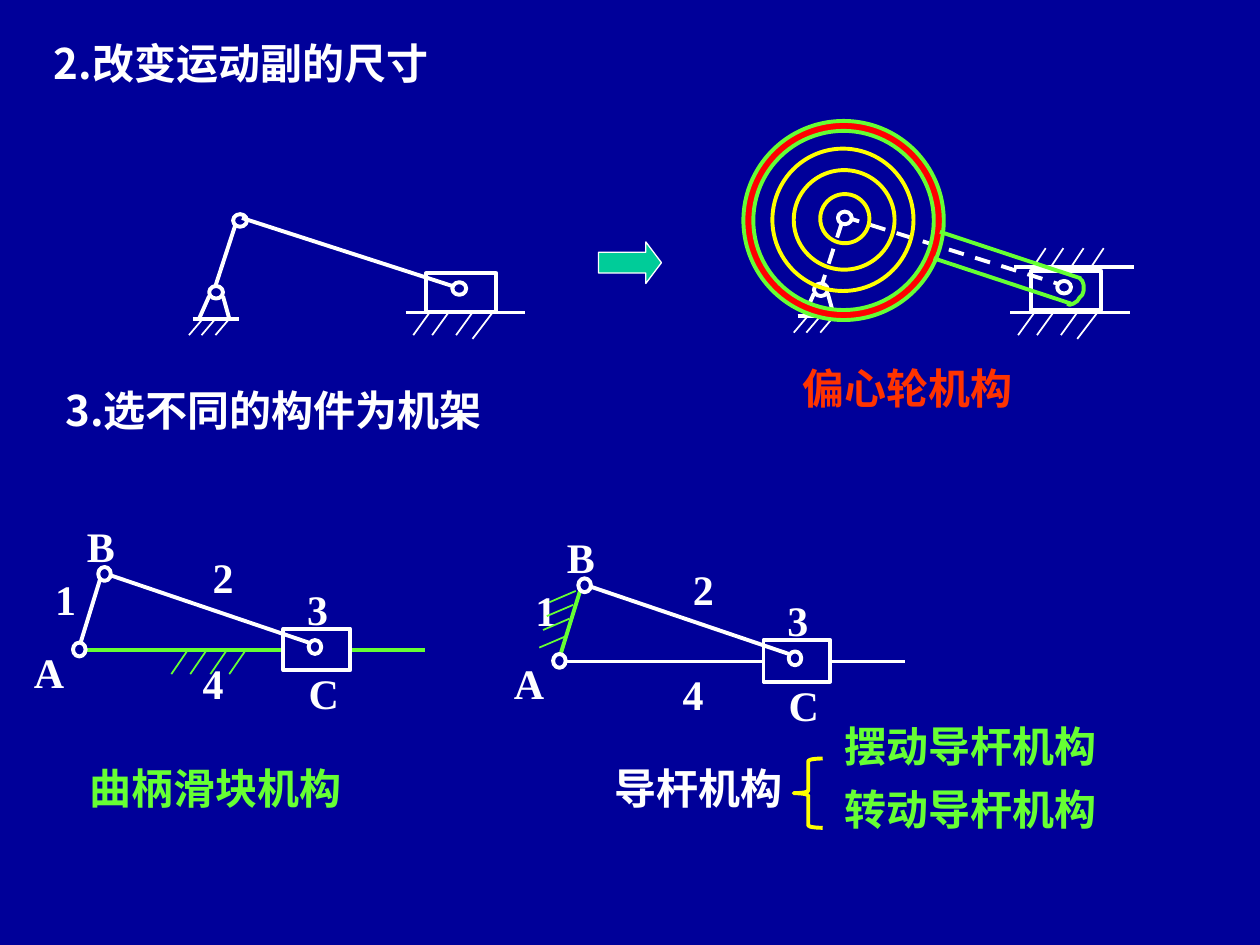
from pptx import Presentation
from pptx.dml.color import RGBColor
from pptx.enum.dml import MSO_LINE
from pptx.enum.shapes import MSO_CONNECTOR, MSO_SHAPE
from pptx.enum.text import PP_ALIGN
from pptx.oxml.ns import qn
from pptx.util import Inches, Pt
from lxml import etree

NAVY = RGBColor(0x00, 0x00, 0x99)
WHITE = RGBColor(0xFF, 0xFF, 0xFF)
GREEN = RGBColor(0x66, 0xFF, 0x33)
YELLOW = RGBColor(0xFF, 0xFF, 0x00)
RED = RGBColor(0xFF, 0x00, 0x00)
ORANGE = RGBColor(0xFF, 0x33, 0x00)
TEAL = RGBColor(0x00, 0xCC, 0x99)

SERIF = "Times New Roman"
SANS = "Noto Sans CJK SC"
THICK, THIN = 2.25, 1


def add_text(s, text, x, y, w, color=WHITE, font=SERIF, align=PP_ALIGN.CENTER):
    tf = s.shapes.add_textbox(Inches(x), Inches(y), Inches(w), Inches(0.5)).text_frame
    tf.word_wrap = True
    p = tf.paragraphs[0]
    p.alignment = align
    r = p.add_run()
    r.text = text
    r.font.name, r.font.size, r.font.bold = font, Pt(24), True
    r.font.color.rgb = color
    etree.SubElement(r.font._element, qn("a:ea")).set("typeface", SANS)


def style(shape, fill, line, width):
    shape.shadow.inherit = False
    if fill is None:
        shape.fill.background()
    else:
        shape.fill.solid()
        shape.fill.fore_color.rgb = fill
    shape.line.color.rgb = line
    shape.line.width = Pt(width)


def add_shape(s, kind, x, y, w, h, fill=NAVY, line=WHITE, width=THICK, adj=()):
    sp = s.shapes.add_shape(kind, Inches(x), Inches(y), Inches(w), Inches(h))
    style(sp, fill, line, width)
    for i, value in enumerate(adj):
        sp.adjustments[i] = value


def add_line(s, x1, y1, x2, y2, color=WHITE, width=THICK, dash=False):
    c = s.shapes.add_connector(MSO_CONNECTOR.STRAIGHT, Inches(x1), Inches(y1),
                               Inches(x2), Inches(y2))
    c.line.color.rgb = color
    c.line.width = Pt(width)
    if dash:
        c.line.dash_style = MSO_LINE.DASH
    etree.SubElement(c._element.spPr, qn("a:effectLst"))


def add_hatch(s, starts, y, dx, dy, color=WHITE):
    for x in starts:
        add_line(s, x, y, x + dx, y + dy, color, THIN)


def add_pin(s, x, y, w=0.11, h=0.1):
    add_shape(s, MSO_SHAPE.OVAL, x, y, w, h)


def add_support(s, x, y):
    """Fixed pivot on hatched ground; x, y is the corner of the pin."""
    ground = y + 0.26
    add_line(s, x - 0.13, ground, x + 0.24, ground)
    add_line(s, x, y + 0.08, x - 0.08, ground)
    add_line(s, x + 0.11, y + 0.08, x + 0.16, ground)
    add_hatch(s, [x - 0.05, x + 0.05, x + 0.16], ground, -0.11, 0.13)
    add_pin(s, x, y)


def add_track(s, x, y):
    """Guide rail with hatching below it."""
    add_line(s, x, y, x + 0.95, y)
    add_hatch(s, [x + 0.19, x + 0.34, x + 0.53], y, -0.13, 0.18)
    add_hatch(s, [x + 0.69], y, -0.16, 0.21)


def add_simple_linkage(s):
    add_shape(s, MSO_SHAPE.RECTANGLE, 3.38, 2.17, 0.56, 0.31)
    add_line(s, 1.71, 2.27, 1.87, 1.78)
    add_support(s, 1.66, 2.27)
    add_pin(s, 1.85, 1.7)
    add_pin(s, 3.59, 2.24)
    add_line(s, 1.92, 1.73, 3.59, 2.27)
    add_track(s, 3.22, 2.48)


def add_eccentric(s):
    # Slider between two rails
    add_shape(s, MSO_SHAPE.RECTANGLE, 8.18, 2.15, 0.56, 0.31)
    add_line(s, 8.05, 2.12, 9, 2.12)
    add_hatch(s, [8.2, 8.34, 8.5, 8.66], 2.12, 0.1, -0.15)
    add_track(s, 8.02, 2.48)
    # Equivalent crank and rod
    add_line(s, 6.51, 2.3, 6.7, 1.71, dash=True)
    add_line(s, 6.7, 1.72, 8.39, 2.25, dash=True)
    add_pin(s, 8.39, 2.23)
    add_support(s, 6.46, 2.25)
    add_pin(s, 6.65, 1.68)
    # Strap ring and rod outline
    add_shape(s, MSO_SHAPE.DONUT, 5.9, 0.96, 1.59, 1.58, RED, GREEN, adj=[0.05])
    rod_end = [(8.47, 2.41), (8.49, 2.42), (8.52, 2.41), (8.55, 2.39), (8.57, 2.36),
               (8.59, 2.34), (8.6, 2.31), (8.6, 2.26), (8.59, 2.23), (8.57, 2.21)]
    points = [(Inches(x), Inches(y)) for x, y in rod_end]
    builder = s.shapes.build_freeform(*points[0])
    builder.add_line_segments(points[1:], close=False)
    style(builder.convert_to_shape(), NAVY, GREEN, THICK)
    add_line(s, 7.46, 1.84, 8.58, 2.21, GREEN)
    add_line(s, 7.41, 2.05, 8.5, 2.41, GREEN)
    # Enlarged pins
    for x, y, w, h in [(6.51, 1.54, 0.39, 0.39), (6.3, 1.35, 0.8, 0.79),
                       (6.13, 1.18, 1.12, 1.13)]:
        add_shape(s, MSO_SHAPE.OVAL, x, y, w, h, None, YELLOW)


def add_crank_slider(s, x, y, crank, guide):
    """Slider-crank chain; x, y is the corner of pin A."""
    add_line(s, x + 0.06, y, x + 0.22, y - 0.52, crank)
    add_line(s, x + 0.09, y + 0.06, x + 2.79, y + 0.06, guide)
    add_shape(s, MSO_SHAPE.RECTANGLE, x + 1.67, y - 0.11, 0.53, 0.33)
    add_line(s, x + 0.25, y - 0.55, x + 1.87, y)
    for dx, dy in [(0, 0), (1.87, -0.02), (0.2, -0.6)]:
        add_pin(s, x + dx, y + dy, 0.1, 0.11)
    # Link numbers and joint letters
    for text, dx, dy in [("1", -0.24, -0.6), ("2", 1.01, -0.77), ("3", 1.76, -0.52),
                         ("4", 0.93, 0.07), ("A", -0.41, -0.02), ("B", 0.01, -1.02),
                         ("C", 1.77, 0.15)]:
        add_text(s, text, x + dx, y + dy, 0.42 if text.isalpha() else 0.33)


def main():
    prs = Presentation()
    prs.slide_width, prs.slide_height = Inches(10), Inches(7.5)
    s = prs.slides.add_slide(prs.slide_layouts[6])
    s.background.fill.solid()
    s.background.fill.fore_color.rgb = NAVY

    # Headings
    add_text(s, "2.改变运动副的尺寸", 0.33, 0.25, 5.08, font=SANS, align=PP_ALIGN.JUSTIFY)
    add_text(s, "3.选不同的构件为机架", 0.42, 3, 4.67, font=SANS, align=PP_ALIGN.JUSTIFY)

    # Changing the size of the joint
    add_simple_linkage(s)
    add_shape(s, MSO_SHAPE.RIGHT_ARROW, 4.75, 1.92, 0.5, 0.33, TEAL, WHITE, 0.75,
              [0.5, 0.375])
    add_eccentric(s)
    add_text(s, "偏心轮机构", 6.08, 2.83, 2.25, ORANGE)

    # Link 4 as the frame
    add_crank_slider(s, 0.58, 5.1, crank=WHITE, guide=GREEN)
    add_hatch(s, [1.49, 1.64, 1.8, 1.95], 5.16, -0.13, 0.19, GREEN)
    add_text(s, "曲柄滑块机构", 0.42, 6, 2.58, GREEN)

    # Link 1 as the frame
    add_crank_slider(s, 4.39, 5.19, crank=GREEN, guide=WHITE)
    for x, y in [(4.57, 4.69), (4.55, 4.8), (4.52, 4.91), (4.49, 5.05)]:
        add_hatch(s, [x], y, -0.21, 0.09, GREEN)
    add_text(s, "导杆机构", 4.67, 6, 1.75)
    add_shape(s, MSO_SHAPE.LEFT_BRACE, 6.3, 6.02, 0.23, 0.55, None, YELLOW,
              adj=[0.0833, 0.5])
    add_text(s, "摆动导杆机构", 6.58, 5.67, 2.25, GREEN)
    add_text(s, "转动导杆机构", 6.58, 6.17, 2.25, GREEN)

    prs.save("out.pptx")


if __name__ == "__main__":
    main()
